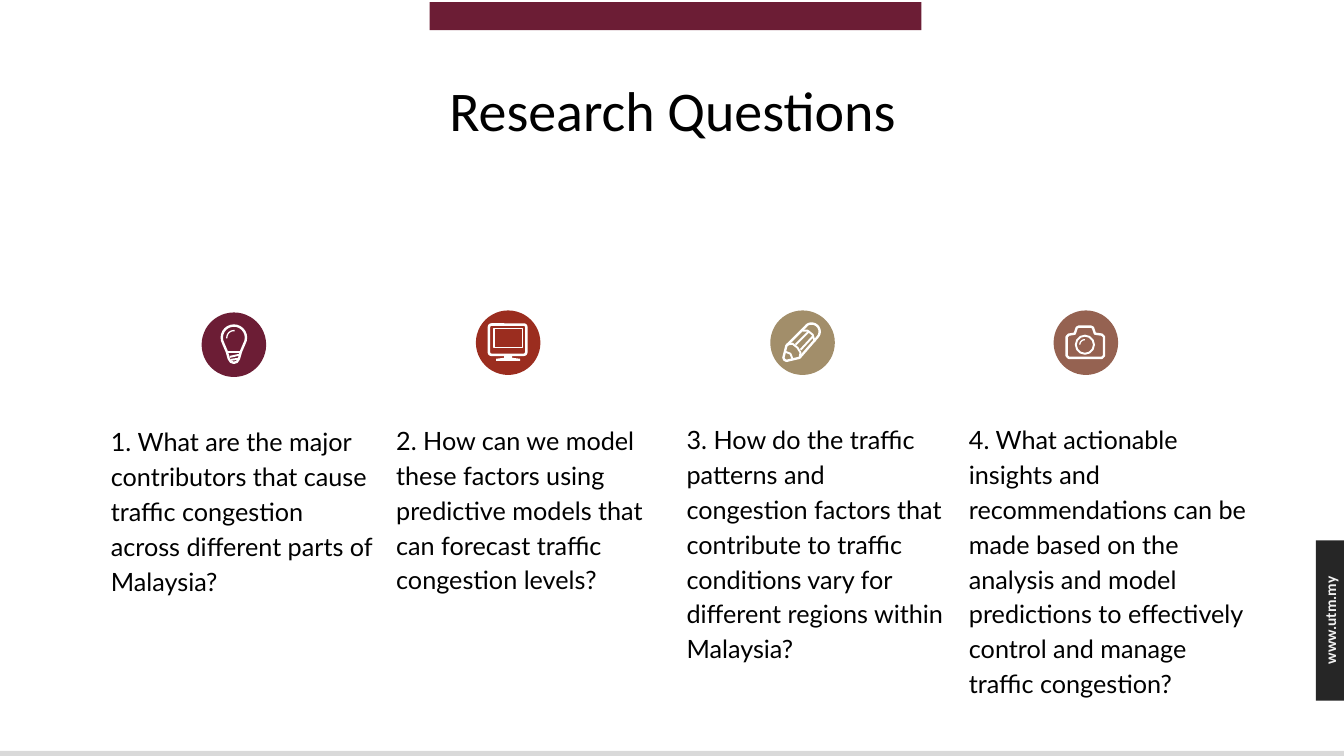
from math import cos, radians, sin

from pptx import Presentation
from pptx import util as u
from pptx.dml.color import RGBColor
from pptx.enum import shapes, text

WINE = RGBColor(0x6C, 0x1D, 0x35)
RUST = RGBColor(0x9B, 0x2D, 0x1F)
SAND = RGBColor(0xA2, 0x8E, 0x6A)
CLAY = RGBColor(0x95, 0x62, 0x51)
GREY = RGBColor(0xD9, 0xD9, 0xD9)
DARK = RGBColor(0x26, 0x26, 0x26)
PALE = RGBColor(0xF2, 0xF2, 0xF2)
WHITE = RGBColor(0xFF, 0xFF, 0xFF)
BLACK = RGBColor(0, 0, 0)
KIND = shapes.MSO_SHAPE
DISC = 0.64


def style(shape, fill=None, weight=0):
    """Fill the shape, or leave it hollow, with a white line if it has weight."""
    shape.shadow.inherit = False
    if fill is None:
        shape.fill.background()
    else:
        shape.fill.solid()
        shape.fill.fore_color.rgb = fill
    if weight:
        shape.line.color.rgb = WHITE
        shape.line.width = u.Pt(weight)
    else:
        shape.line.fill.background()
    return shape


def draw(slide, kind, box, fill=None, weight=0):
    return style(slide.shapes.add_shape(kind, *map(u.Inches, box)), fill, weight)


def trace(slide, left, top, points, closed=False, fill=None, weight=1.4):
    """Draw a line through points given in inches from left, top."""
    spots = [(u.Inches(left + x), u.Inches(top + y)) for x, y in points]
    pen = slide.shapes.build_freeform(*spots[0], scale=1.0)
    pen.add_line_segments(spots[1:], close=closed)
    return style(pen.convert_to_shape(), fill, weight)


def arc(x, y, radius, start, end):
    """List points on an arc, clockwise from start to end degrees."""
    turns = [radians(start + (end - start) * i / 16) for i in range(17)]
    return [(x + radius * cos(t), y + radius * sin(t)) for t in turns]


def write(slide, box, words, font, size, color, bold=False):
    area = slide.shapes.add_textbox(*map(u.Inches, box))
    frame = area.text_frame
    frame.word_wrap = True
    para = frame.paragraphs[0]
    para.text = words
    para.font.name = font
    para.font.size = u.Pt(size)
    para.font.bold = bold
    para.font.color.rgb = color
    return area, frame, para


def bulb(slide, left, top):
    glass = arc(0.32, 0.25, 0.12, 150, 390)
    base = [(0.39, 0.39), (0.37, 0.46), (0.35, 0.49), (0.32, 0.5),
            (0.29, 0.49), (0.27, 0.46), (0.25, 0.39)]
    trace(slide, left, top, glass + base, True, weight=1.7)
    for start, end in [((0.25, 0.39), (0.39, 0.39)),
                       ((0.28, 0.44), (0.37, 0.42)),
                       ((0.29, 0.47), (0.36, 0.46))]:
        trace(slide, left, top, [start, end])
    trace(slide, left, top, arc(0.32, 0.25, 0.07, 175, 275), weight=0.9)


def screen(slide, left, top):
    case = draw(slide, KIND.ROUNDED_RECTANGLE,
                (left + 0.13, top + 0.14, 0.37, 0.3), weight=1.8)
    case.adjustments[0] = 0.08
    draw(slide, KIND.RECTANGLE, (left + 0.18, top + 0.18, 0.28, 0.19), weight=0.9)
    stand = [(0.28, 0.44), (0.36, 0.44), (0.36, 0.47), (0.44, 0.48),
             (0.44, 0.5), (0.2, 0.5), (0.2, 0.48), (0.28, 0.47)]
    trace(slide, left, top, stand, True, WHITE, 0)


def pencil(slide, left, top):
    body = [(0.13, 0.47), (0.16, 0.35), (0.36, 0.15)]
    end = arc(0.41, 0.21, 0.08, 230, 400)
    tip = [(0.29, 0.47), (0.16, 0.5), (0.14, 0.49)]
    trace(slide, left, top, body + end + tip, True, weight=1.7)
    for line in [
        [(0.32, 0.2), (0.37, 0.2), (0.42, 0.24), (0.44, 0.31)],
        [(0.16, 0.34), (0.22, 0.33), (0.27, 0.37), (0.3, 0.42), (0.29, 0.47)],
        [(0.15, 0.41), (0.2, 0.43), (0.22, 0.48)],
        [(0.25, 0.34), (0.38, 0.21)],
        [(0.3, 0.39), (0.42, 0.26)],
    ]:
        trace(slide, left, top, line)


def camera(slide, left, top):
    body = [(0.15, 0.24), (0.21, 0.23), (0.23, 0.17), (0.25, 0.16),
            (0.37, 0.16), (0.39, 0.17), (0.41, 0.23), (0.48, 0.24),
            (0.5, 0.26), (0.5, 0.45), (0.48, 0.47), (0.15, 0.47),
            (0.13, 0.45), (0.13, 0.26)]
    trace(slide, left, top, body, True, weight=1.7)
    draw(slide, KIND.OVAL, (left + 0.22, top + 0.25, 0.18, 0.18), weight=1.4)
    trace(slide, left, top, arc(0.31, 0.34, 0.05, 180, 270), weight=0.9)


def frame(slide):
    """Draw the bars at the edges and the side tab."""
    draw(slide, KIND.RECTANGLE, (4.26, 0.02, 4.88, 0.28), WINE)
    draw(slide, KIND.RECTANGLE, (0, 7.45, 13.33, 0.05), GREY)
    draw(slide, KIND.RECTANGLE, (13.05, 5.36, 0.28, 1.59), DARK)
    area, _, para = write(slide, (12.44, 6.01, 1.51, 0.29), "www.utm.my",
                          "Calibri", 11, PALE, True)
    area.rotation = 270
    para.alignment = text.PP_ALIGN.CENTER


def title(slide, box, words):
    _, body, para = write(slide, box, words, "Calibri", 40, BLACK)
    body.vertical_anchor = text.MSO_ANCHOR.MIDDLE
    para.alignment = text.PP_ALIGN.CENTER
    para.line_spacing = 0.9


def question(slide, box, words, disc, color, icon):
    """Place a disc with its icon, and the question in the box."""
    draw(slide, KIND.OVAL, (*disc, DISC, DISC), color)
    icon(slide, *disc)
    _, body, para = write(slide, box, words, "Lato", 18, BLACK)
    body.margin_left = body.margin_right = 0
    para.line_spacing = 1.15
    para.space_after = u.Pt(8)


ASKS = [
    ((1.1, 4.14, 2.63, 1.83), (2, 3.1), WINE, bulb,
     "1. What are the major contributors that cause traffic congestion "
     "across different parts of Malaysia?"),
    ((3.93, 4.13, 2.63, 1.83), (4.72, 3.08), RUST, screen,
     "2. How can we model these factors using predictive models that can "
     "forecast traffic congestion levels?"),
    ((6.81, 4.12, 2.63, 2.17), (7.64, 3.08), SAND, pencil,
     "3. How do the traffic patterns and congestion factors that contribute "
     "to traffic conditions vary for different regions within Malaysia?"),
    ((9.61, 4.12, 2.81, 2.87), (10.45, 3.08), CLAY, camera,
     "4. What actionable insights and recommendations can be made based on "
     "the analysis and model predictions to effectively control and manage "
     "traffic congestion?"),
]


def main():
    deck = Presentation()
    deck.slide_width, deck.slide_height = u.Inches(13.33), u.Inches(7.5)
    slide = deck.slides.add_slide(deck.slide_layouts[6])
    frame(slide)
    title(slide, (0.92, 0.4, 11.5, 1.45), "Research Questions")
    for box, disc, color, icon, words in ASKS:
        question(slide, box, words, disc, color, icon)
    deck.save("out.pptx")


if __name__ == "__main__":
    main()
